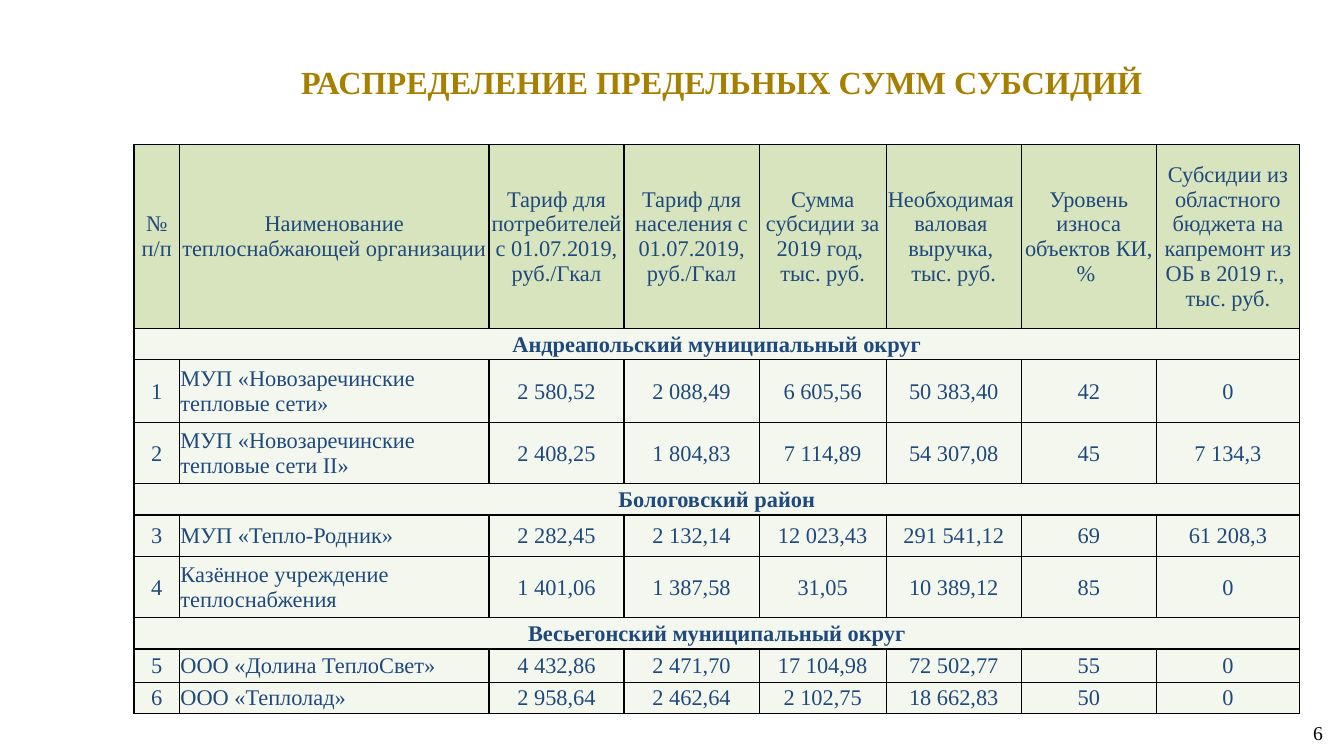
"""Build the slide with the table of maximum heat subsidy amounts."""
import pptx
import pptx.dml.color
import pptx.enum.shapes
import pptx.enum.text
import pptx.oxml
import pptx.oxml.ns
import pptx.util
from pptx.util import Inches

FONT = "Times New Roman"
GOLD, NAVY, BLACK, WHITE = "A88000", "1F497D", "000000", "FFFFFF"
HEADER_FILL, BODY_FILL = "D7E4BD", "EBF1DE"
CENTER = pptx.enum.text.PP_ALIGN.CENTER
LEFT = pptx.enum.text.PP_ALIGN.LEFT
RIGHT = pptx.enum.text.PP_ALIGN.RIGHT
MIDDLE = pptx.enum.text.MSO_ANCHOR.MIDDLE

TITLE = "РАСПРЕДЕЛЕНИЕ ПРЕДЕЛЬНЫХ СУММ СУБСИДИЙ"
PAGE_NUMBER = "6"
HEADERS = [
    ["№ п/п"],
    ["Наименование теплоснабжающей организации"],
    ["Тариф для потребителей с 01.07.2019,", "руб./Гкал"],
    ["Тариф для населения с 01.07.2019,", "руб./Гкал"],
    ["Сумма субсидии за 2019 год, ", "тыс. руб."],
    ["Необходимая ", "валовая ", "выручка, ", "тыс. руб."],
    ["Уровень износа объектов КИ, % "],
    ["Субсидии из областного бюджета на капремонт из ОБ в 2019 г., ", "тыс. руб."],
]
ROWS = [
    ["Андреапольский муниципальный округ"],
    ["1", "МУП «Новозаречинские тепловые сети»", "2 580,52", "2 088,49", "6 605,56", "50 383,40", "42", "0"],
    ["2", "МУП «Новозаречинские тепловые сети II»", "2 408,25", "1 804,83", "7 114,89", "54 307,08", "45", "7 134,3"],
    ["Бологовский район"],
    ["3", "МУП «Тепло-Родник»", "2 282,45", "2 132,14", "12 023,43", "291 541,12", "69", "61 208,3"],
    ["4", "Казённое учреждение теплоснабжения", "1 401,06", "1 387,58", "31,05", "10 389,12", "85", "0"],
    ["Весьегонский муниципальный округ"],
    ["5", "ООО «Долина ТеплоСвет»", "4 432,86", "2 471,70", "17 104,98", "72 502,77", "55", "0"],
    ["6", "ООО «Теплолад»", "2 958,64", "2 462,64", "2 102,75", "18 662,83", "50", "0"],
]
COLUMN_WIDTHS = [0.45, 3.07, 1.34, 1.34, 1.26, 1.34, 1.34, 1.42]
ROW_HEIGHTS = [1.83, 0.31, 0.62, 0.61, 0.31, 0.41, 0.61, 0.31, 0.33, 0.31]
NAME_COLUMN = 1


def color(value):
    return pptx.dml.color.RGBColor.from_string(value)


def write(text_frame, lines, size, text_color, alignment, bold=False):
    text_frame.word_wrap = True
    for index, line in enumerate(lines):
        paragraph = text_frame.add_paragraph() if index else text_frame.paragraphs[0]
        paragraph.alignment = alignment
        run = paragraph.add_run()
        run.text = line
        run.font.name = FONT
        run.font.size = pptx.util.Pt(size)
        run.font.bold = bold
        run.font.color.rgb = color(text_color)


def format_cell(cell, fill, opacity):
    cell.margin_left = cell.margin_right = cell.margin_top = Inches(0.01)
    cell.margin_bottom = 0
    cell.vertical_anchor = MIDDLE
    cell.fill.solid()
    cell.fill.fore_color.rgb = color(fill)
    properties = cell._tc.get_or_add_tcPr()
    if opacity < 100:
        fill_color = properties.find(".//" + pptx.oxml.ns.qn("a:srgbClr"))
        alpha = pptx.oxml.parse_xml(f'<a:alpha {pptx.oxml.ns.nsdecls("a")} val="{opacity * 1000}"/>')
        fill_color.append(alpha)
    for position, side in enumerate("LRTB"):
        border = pptx.oxml.parse_xml(
            f'<a:ln{side} {pptx.oxml.ns.nsdecls("a")} w="12700"><a:solidFill>'
            f'<a:srgbClr val="{BLACK}"/></a:solidFill></a:ln{side}>')
        properties.insert(position, border)


def add_title(slide):
    title = slide.shapes.add_textbox(Inches(1.85), Inches(0.56), Inches(10.63), Inches(0.49))
    title.text_frame.vertical_anchor = MIDDLE
    write(title.text_frame, [TITLE], 23, GOLD, CENTER, bold=True)


def add_page_number(slide):
    shape = slide.shapes.add_shape(
        pptx.enum.shapes.MSO_SHAPE.RECTANGLE, Inches(12.89), Inches(7.1), Inches(0.33), Inches(0.34))
    shape.shadow.inherit = False
    shape.fill.solid()
    shape.fill.fore_color.rgb = color(WHITE)
    shape.line.fill.background()
    shape.text_frame.vertical_anchor = pptx.enum.text.MSO_ANCHOR.TOP
    write(shape.text_frame, [PAGE_NUMBER], 14, BLACK, RIGHT)


def add_subsidy_table(slide):
    frame = slide.shapes.add_table(
        len(ROWS) + 1, len(HEADERS), Inches(1.33), Inches(1.43),
        Inches(sum(COLUMN_WIDTHS)), Inches(sum(ROW_HEIGHTS)))
    table = frame.table
    table.first_row = table.horz_banding = False
    for column, width in zip(table.columns, COLUMN_WIDTHS):
        column.width = Inches(width)
    for row_index, height in enumerate(ROW_HEIGHTS):
        row = table.rows[row_index]
        row.height = Inches(height)
        for cell in row.cells:
            is_header = row_index == 0
            format_cell(cell, HEADER_FILL if is_header else BODY_FILL, 100 if is_header else 50)
    for column_index, lines in enumerate(HEADERS):
        write(table.cell(0, column_index).text_frame, lines, 16, NAVY, CENTER)
    for row_index, values in enumerate(ROWS, 1):
        is_district = len(values) == 1
        if is_district:
            table.cell(row_index, 0).merge(table.cell(row_index, len(HEADERS) - 1))
        for column_index, value in enumerate(values):
            alignment = LEFT if column_index == NAME_COLUMN else CENTER
            write(table.cell(row_index, column_index).text_frame, [value], 16, NAVY, alignment, is_district)


def main():
    presentation = pptx.Presentation()
    presentation.slide_width = Inches(13.33)
    presentation.slide_height = Inches(7.5)
    slide = presentation.slides.add_slide(presentation.slide_layouts[6])
    add_title(slide)
    add_page_number(slide)
    add_subsidy_table(slide)
    presentation.save("out.pptx")


if __name__ == "__main__":
    main()
